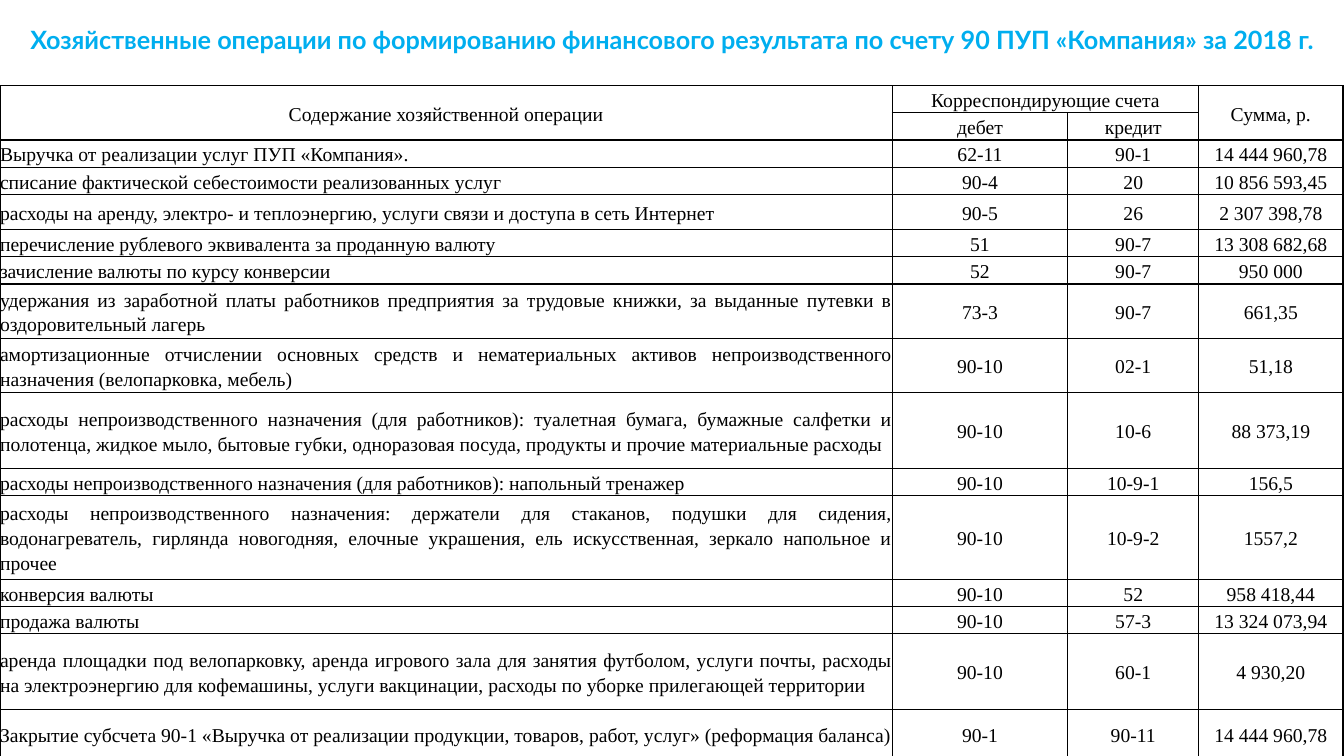
from dataclasses import dataclass

from lxml.etree import SubElement
from pptx import Presentation
from pptx.dml.color import RGBColor
from pptx.enum.text import MSO_ANCHOR, PP_ALIGN
from pptx.oxml.ns import qn
from pptx.util import Inches, Pt

BLACK = RGBColor(0x00, 0x00, 0x00)
WHITE = RGBColor(0xFF, 0xFF, 0xFF)
SKY = RGBColor(0x00, 0xAE, 0xEF)
TITLE_FONT, TABLE_FONT = "Lato", "Times New Roman"
NBSP = "\u00a0"
SLIDE_WIDTH, SLIDE_HEIGHT = 13.33, 7.5
TABLE_TOP = 0.85
COLUMN_WIDTHS = (8.85, 1.74, 1.3, 1.43)
HEADER_ROWS = 2
LINE_HEIGHT = 0.27
TITLE = ("Хозяйственные операции по формированию финансового результата "
         f"по счету 90 ПУП «Компания» за 2018{NBSP}г.")


@dataclass(frozen=True)
class Header:
    """A heading cell and the rows and columns it covers."""
    row: int
    column: int
    text: str
    rows: int = 1
    columns: int = 1


@dataclass(frozen=True)
class Operation:
    """One business operation with its accounts and amount."""
    description: str
    debit: str
    credit: str
    amount: str
    height: float = LINE_HEIGHT
    alignment: PP_ALIGN = PP_ALIGN.JUSTIFY


HEADERS = (
    Header(0, 0, "Содержание хозяйственной операции", rows=2),
    Header(0, 1, "Корреспондирующие счета", columns=2),
    Header(0, 3, "Сумма, р.", rows=2),
    Header(1, 1, "дебет"),
    Header(1, 2, "кредит"),
)

OPERATIONS = (
    Operation("Выручка от реализации услуг ПУП «Компания».",
              "62-11", "90-1", "14 444 960,78", alignment=PP_ALIGN.LEFT),
    Operation("списание фактической себестоимости реализованных услуг",
              "90-4", "20", "10 856 593,45", alignment=PP_ALIGN.LEFT),
    Operation("расходы на аренду, электро- и теплоэнергию, услуги связи "
              "и доступа в сеть Интернет",
              "90-5", "26", "2 307 398,78", 0.35, PP_ALIGN.LEFT),
    Operation("перечисление рублевого эквивалента за проданную валюту",
              "51", "90-7", "13 308 682,68"),
    Operation("зачисление валюты по курсу конверсии", "52", "90-7", "950 000"),
    Operation("удержания из заработной платы работников предприятия за трудовые "
              "книжки, за выданные путевки в оздоровительный лагерь",
              "73-3", "90-7", "661,35", 0.54),
    Operation("амортизационные отчислении основных средств и нематериальных "
              "активов непроизводственного назначения (велопарковка, мебель)",
              "90-10", "02-1", "51,18", 0.54),
    Operation("расходы непроизводственного назначения (для работников): туалетная "
              "бумага, бумажные салфетки и полотенца, жидкое мыло, бытовые губки, "
              "одноразовая посуда, продукты и прочие материальные расходы",
              "90-10", "10-6", "88 373,19", 0.75),
    Operation("расходы непроизводственного назначения (для работников): "
              "напольный тренажер", "90-10", "10-9-1", "156,5"),
    Operation("расходы непроизводственного назначения: держатели для стаканов, "
              "подушки для сидения, водонагреватель, гирлянда новогодняя, елочные "
              "украшения, ель искусственная, зеркало напольное и прочее",
              "90-10", "10-9-2", "1557,2", 0.83),
    Operation("конверсия валюты", "90-10", "52", "958 418,44"),
    Operation("продажа валюты", "90-10", "57-3", "13 324 073,94"),
    Operation("аренда площадки под велопарковку, аренда игрового зала для занятия "
              "футболом, услуги почты, расходы на электроэнергию для кофемашины, "
              "услуги вакцинации, расходы по уборке прилегающей территории",
              "90-10", "60-1", "4 930,20", 0.75),
    Operation("Закрытие субсчета 90-1 «Выручка от реализации продукции, товаров, "
              "работ, услуг» (реформация баланса)",
              "90-1", "90-11", "14 444 960,78", 0.49, PP_ALIGN.LEFT),
)


def style_paragraph(paragraph, alignment: PP_ALIGN, spacing: float,
                    font_name: str, size: int, color: RGBColor) -> None:
    """Set the layout and font of a paragraph."""
    paragraph.alignment = alignment
    paragraph.line_spacing = spacing
    paragraph.font.name = font_name
    paragraph.font.size = Pt(size)
    paragraph.font.color.rgb = color


def style_cell(cell) -> None:
    """Give a cell thin black borders, a white fill and no margins."""
    properties = cell._tc.get_or_add_tcPr()
    for side in ("a:lnL", "a:lnR", "a:lnT", "a:lnB"):
        line = SubElement(properties, qn(side), w=str(Pt(1)))
        fill = SubElement(line, qn("a:solidFill"))
        SubElement(fill, qn("a:srgbClr"), val=str(BLACK))
    cell.fill.solid()
    cell.fill.fore_color.rgb = WHITE
    cell.vertical_anchor = MSO_ANCHOR.MIDDLE
    cell.margin_left = cell.margin_right = Inches(0)
    cell.margin_top = cell.margin_bottom = Inches(0)


def write_cell(cell, text: str, alignment: PP_ALIGN = PP_ALIGN.CENTER) -> None:
    """Write text into a table cell."""
    cell.text = text
    style_paragraph(cell.text_frame.paragraphs[0], alignment, 1.15,
                    TABLE_FONT, 14, BLACK)


def add_title(page) -> None:
    """Add the bottom-anchored slide title."""
    box = page.shapes.add_textbox(Inches(0), Inches(-0.58),
                                  Inches(SLIDE_WIDTH), Inches(1.17))
    frame = box.text_frame
    frame.word_wrap = True
    frame.vertical_anchor = MSO_ANCHOR.BOTTOM
    para = frame.paragraphs[0]
    para.text = TITLE
    style_paragraph(para, PP_ALIGN.CENTER, 0.8, TITLE_FONT, 18, SKY)
    para.font.bold = True


def add_operations_table(page) -> None:
    """Add the table of operations under its two-level heading."""
    heights = [LINE_HEIGHT] * HEADER_ROWS + [item.height for item in OPERATIONS]
    table = page.shapes.add_table(
        len(heights), len(COLUMN_WIDTHS), Inches(0), Inches(TABLE_TOP),
        Inches(sum(COLUMN_WIDTHS)), Inches(sum(heights))).table
    table.first_row = table.horz_banding = False
    for column, width in zip(table.columns, COLUMN_WIDTHS):
        column.width = Inches(width)
    for row, height in zip(table.rows, heights):
        row.height = Inches(height)
    for cell in table.iter_cells():
        style_cell(cell)
        write_cell(cell, "")

    for header in HEADERS:
        cell = table.cell(header.row, header.column)
        if header.rows > 1 or header.columns > 1:
            cell.merge(table.cell(header.row + header.rows - 1,
                                  header.column + header.columns - 1))
        write_cell(cell, header.text)
    for row, item in enumerate(OPERATIONS, HEADER_ROWS):
        write_cell(table.cell(row, 0), item.description, item.alignment)
        values = (item.debit, item.credit, item.amount.replace(" ", NBSP))
        for column, value in enumerate(values, 1):
            write_cell(table.cell(row, column), value)


deck = Presentation()
deck.slide_width, deck.slide_height = Inches(SLIDE_WIDTH), Inches(SLIDE_HEIGHT)
page = deck.slides.add_slide(deck.slide_layouts[6])
add_title(page)
add_operations_table(page)
deck.save("out.pptx")
